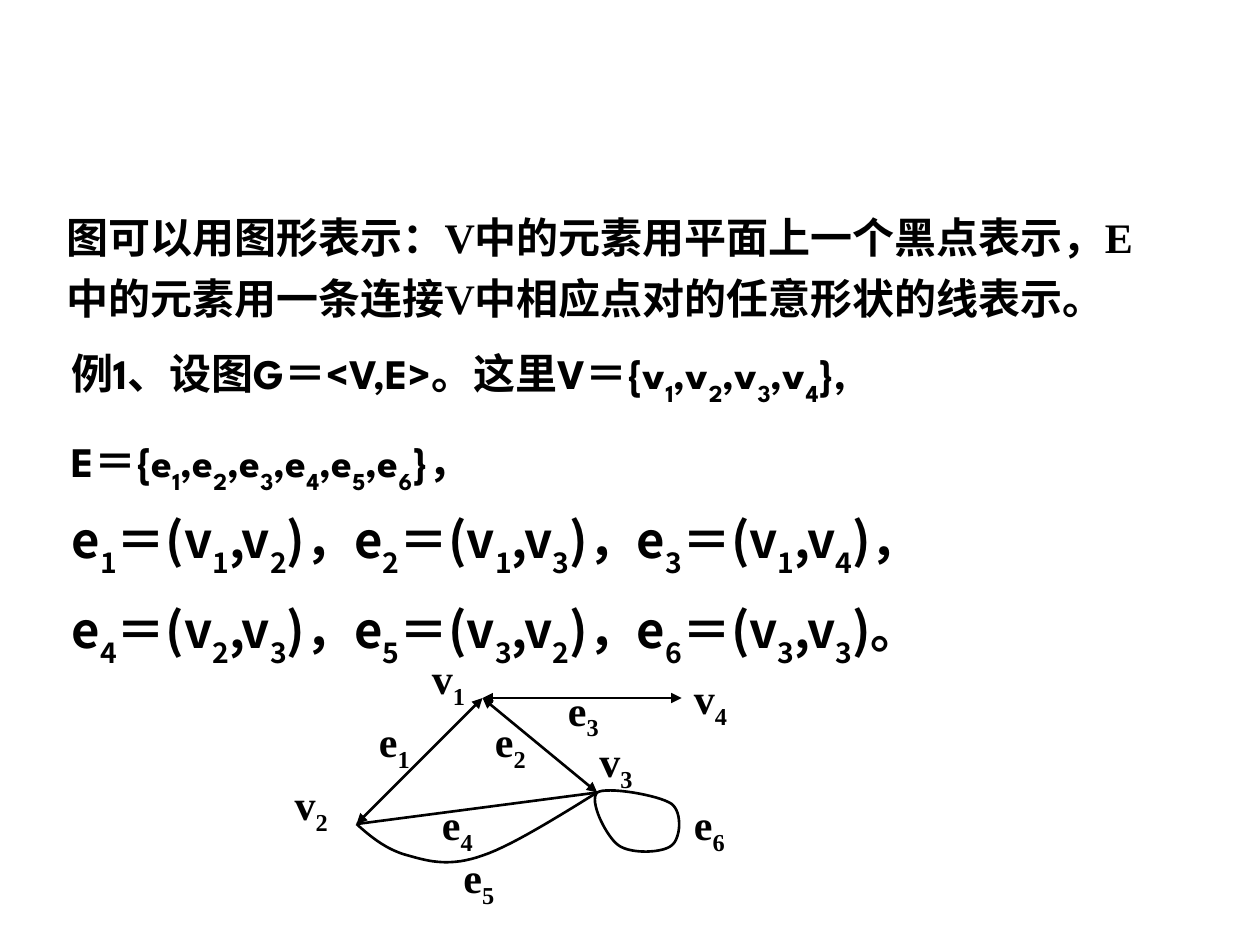
from lxml.etree import SubElement
from pptx import Presentation
from pptx.dml.color import RGBColor
from pptx.enum.shapes import MSO_CONNECTOR as Connector
from pptx.enum.text import MSO_AUTO_SIZE as AutoSize, PP_ALIGN as Align
from pptx.oxml.ns import qn
from pptx.util import Inches, Pt

COLORS = {"ink": "000000"}
SERIF, DISPLAY, SANS = "Times New Roman", "League Spartan", "Noto Sans CJK SC"

PASSAGES = [
    dict(box=(0.43, 1.55, 9, 1.06), font=SERIF, size=24, indent=0.5, spacing=1.2, gap=0, align=Align.LEFT,
         lines=["图可以用图形表示：V中的元素用平面上一个黑点表示，E",
                "中的元素用一条连接V中相应点对的任意形状的线表示。"]),
    dict(box=(0.47, 2.57, 9.25, 1.41), font=DISPLAY, size=24, indent=0.38, spacing=1.3, gap=6, align=Align.LEFT,
         lines=["例1、设图G＝<V,E>。这里V＝{v_1,v_2,v_3,v_4},",
                "E＝{e_1,e_2,e_3,e_4,e_5,e_6}，"]),
    dict(box=(0.47, 3.83, 8.5, 1.53), font=SANS, size=28, indent=0.38, spacing=1.3, gap=0, align=Align.JUSTIFY,
         lines=["e_1＝(v_1,v_2)，e_2＝(v_1,v_3)，e_3＝(v_1,v_4)，",
                "e_4＝(v_2,v_3)，e_5＝(v_3,v_2)，e_6＝(v_3,v_3)。"]),
]
VERTICES = {"v1": (3.83, 5.54), "v2": (2.83, 6.54), "v3": (4.74, 6.29), "v4": (5.41, 5.54)}
STRAIGHT_EDGES = [("v1", "v2", True), ("v1", "v3", True), ("v1", "v4", True), ("v2", "v3", False)]
E5_CURVE = [VERTICES["v2"], (2.95, 6.65), (3.08, 6.75), (3.24, 6.79), (3.41, 6.84), (3.58, 6.88),
            (3.83, 6.79), (4.08, 6.71), (4.59, 6.38), VERTICES["v3"]]
E6_LOOP = [VERTICES["v3"], (4.81, 6.24), (5.23, 6.31), (5.33, 6.38), (5.42, 6.45), (5.4, 6.66), (5.33, 6.71),
           (5.26, 6.77), (5.01, 6.78), (4.91, 6.71), (4.81, 6.64), (4.67, 6.35), VERTICES["v3"]]
LABEL_WIDTHS = {"v": 0.77, "e": 0.6}
LABELS = [("v_1", 3.33, 5.13), ("v_2", 2.24, 6.13), ("v_3", 4.66, 5.79), ("v_4", 5.41, 5.29),
          ("e_1", 2.91, 5.63), ("e_2", 3.83, 5.63), ("e_3", 4.41, 5.38),
          ("e_4", 3.41, 6.29), ("e_5", 3.58, 6.71), ("e_6", 5.41, 6.29)]


def ink():
    return RGBColor.from_string(COLORS["ink"])


def add_run(paragraph, text, font, size, baseline=0):
    if not text:
        return
    run = paragraph.add_run()
    run.text = text
    run.font.name = font
    run.font.size = Pt(size)
    run.font.bold = True
    run.font.color.rgb = ink()
    properties = run._r.get_or_add_rPr()
    SubElement(properties, qn("a:ea")).set("typeface", SANS)
    if baseline:
        properties.set("baseline", str(baseline * 1000))


def write(paragraph, text, font, size, baseline):
    plain, *subscripted = text.split("_")
    add_run(paragraph, plain, font, size)
    for part in subscripted:
        add_run(paragraph, part[0], font, size, baseline)
        add_run(paragraph, part[1:], font, size)


def add_frame(shapes, box):
    frame = shapes.add_textbox(*map(Inches, box)).text_frame
    frame.word_wrap = True
    frame.auto_size = AutoSize.SHAPE_TO_FIT_TEXT
    return frame


def add_passage(shapes, passage):
    frame = add_frame(shapes, passage["box"])
    for number, line in enumerate(passage["lines"]):
        paragraph = frame.add_paragraph() if number else frame.paragraphs[0]
        paragraph.alignment = passage["align"]
        paragraph.line_spacing = passage["spacing"]
        paragraph.space_before = Pt(passage["gap"] if number else 0)
        properties = paragraph._p.get_or_add_pPr()
        properties.set("marL", str(Inches(passage["indent"])))
        properties.set("indent", str(-Inches(passage["indent"])))
        write(paragraph, line, passage["font"], passage["size"], -30)


def add_edge(shapes, start, end, arrows):
    ends = [Inches(value) for name in (start, end) for value in VERTICES[name]]
    edge = shapes.add_connector(Connector.STRAIGHT, *ends)
    edge.line.color.rgb = ink()
    edge.line.width = Pt(1.5)
    if arrows:
        for tip in ("a:headEnd", "a:tailEnd"):
            SubElement(edge.line._get_or_add_ln(), qn(tip)).set("type", "triangle")
    SubElement(edge._element.spPr, qn("a:effectLst"))


def curve_points(controls, steps=16):
    points = [controls[0]]
    for first in range(0, len(controls) - 1, 3):
        segment = controls[first:first + 4]
        for step in range(1, steps + 1):
            t = step / steps
            weights = ((1 - t) ** 3, 3 * t * (1 - t) ** 2, 3 * t ** 2 * (1 - t), t ** 3)
            points.append(tuple(sum(w * p[axis] for w, p in zip(weights, segment)) for axis in (0, 1)))
    return [(Inches(x), Inches(y)) for x, y in points]


def add_curve(shapes, controls, close):
    start, *rest = curve_points(controls)
    builder = shapes.build_freeform(*start)
    builder.add_line_segments(rest, close=close)
    curve = builder.convert_to_shape()
    curve.shadow.inherit = False
    curve.fill.background()
    curve.line.color.rgb = ink()
    curve.line.width = Pt(1.5)


def main():
    deck = Presentation()
    deck.slide_width, deck.slide_height = Inches(10), Inches(7.5)
    slide = deck.slides.add_slide(deck.slide_layouts[6])
    for passage in PASSAGES:
        add_passage(slide.shapes, passage)
    graph = slide.shapes.add_group_shape().shapes
    for start, end, arrows in STRAIGHT_EDGES:
        add_edge(graph, start, end, arrows)
    add_curve(graph, E5_CURVE, close=False)
    add_curve(graph, E6_LOOP, close=True)
    for label, left, top in LABELS:
        frame = add_frame(graph, (left, top, LABEL_WIDTHS[label[0]], 0.56))
        write(frame.paragraphs[0], label, SERIF, 24, -25)
    deck.save("out.pptx")


if __name__ == "__main__":
    main()
